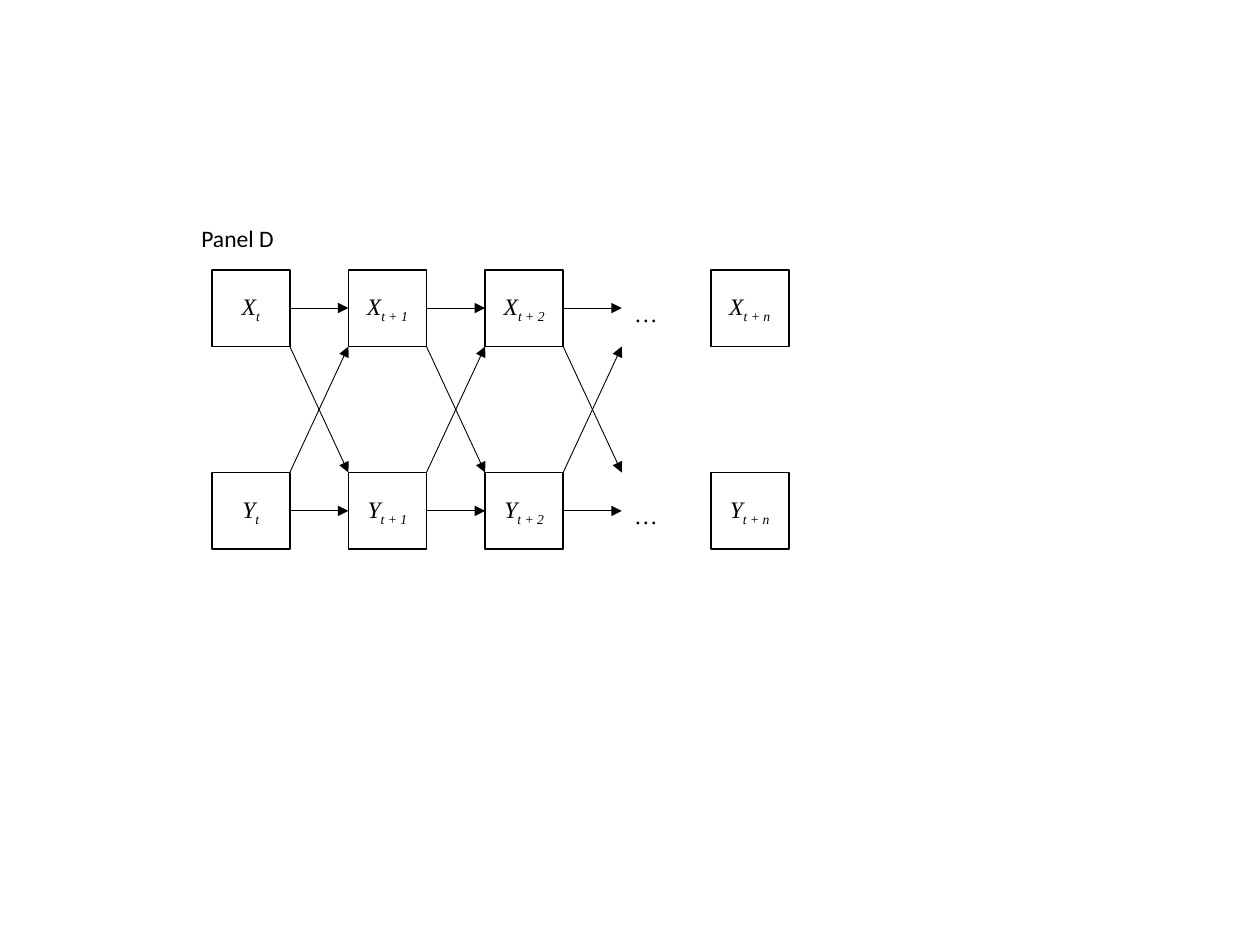
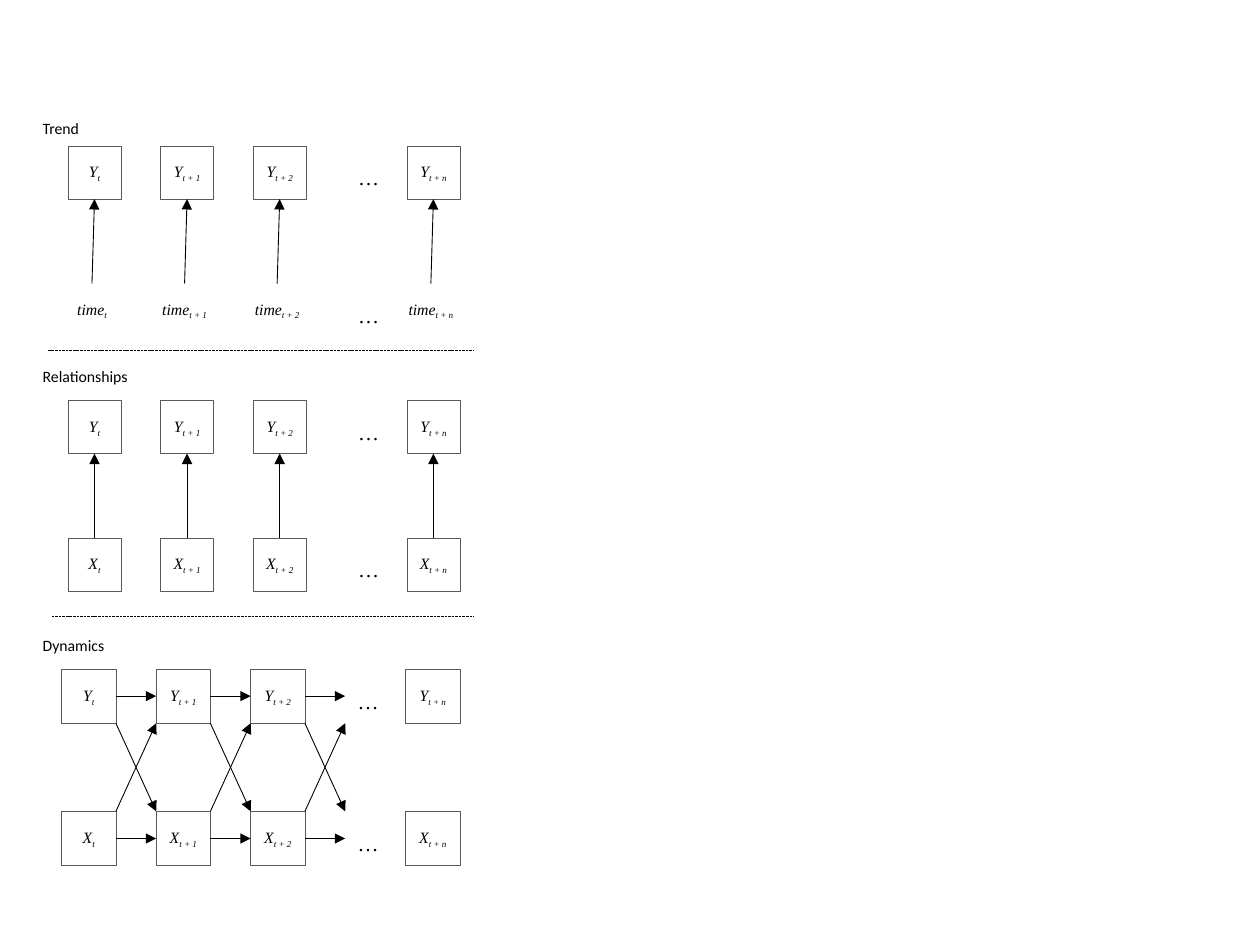
import pptx
import pptx.dml.color
import pptx.enum.dml
import pptx.enum.shapes
import pptx.enum.text
import pptx.oxml
import pptx.oxml.ns
import pptx.util
from lxml import etree

Inches = pptx.util.Inches
Pt = pptx.util.Pt

BLACK = pptx.dml.color.RGBColor(0x00, 0x00, 0x00)
GRAY = pptx.dml.color.RGBColor(0x59, 0x59, 0x59)
WHITE = pptx.dml.color.RGBColor(0xFF, 0xFF, 0xFF)

LABEL_FONT = "Calibri"
MATH_FONT = "Times New Roman"
SUBSCRIPTS = ("t", "t + 1", "t + 2", "t + n")
TOP, LEFT, BOTTOM, RIGHT = range(4)

LARGE = {"text": 13.5, "dots": 13.5, "dots_width": 0.39, "dots_height": 0.33,
         "label_height": 0.33, "outline": BLACK, "outline_width": 1}
SMALL = {"text": 9, "dots": 12, "dots_width": 0.37, "dots_height": 0.3,
         "label_height": 0.25, "outline": GRAY, "outline_width": 0.25}


def apply_format(target, values):
    for attribute, value in values.items():
        setattr(target, attribute, value)


class Columns:
    """Three evenly spaced box columns, a place for the dots, and a last column."""

    def __init__(self, first, step, last, width, height):
        self.lefts = [round(first + step * i, 3) for i in range(3)] + [last]
        self.dots_left = first + step * 3
        self.width = width
        self.height = height


class ModelSlide:
    def __init__(self, presentation, style):
        self.style = style
        self.shapes = presentation.slides.add_slide(presentation.slide_layouts[6]).shapes

    def add_run(self, paragraph, text, size, font=MATH_FONT, italic=False):
        run = paragraph.add_run()
        run.text = text
        apply_format(run.font, {"name": font, "size": Pt(size), "italic": italic})
        run.font.color.rgb = BLACK
        return run

    def label(self, text, left, top, width, height, size, font):
        frame = self.shapes.add_textbox(
            Inches(left), Inches(top), Inches(width), Inches(height)).text_frame
        apply_format(frame, {
            "word_wrap": False,
            "auto_size": pptx.enum.text.MSO_AUTO_SIZE.SHAPE_TO_FIT_TEXT})
        self.add_run(frame.paragraphs[0], text, size, font)

    def heading(self, text, left, top, width):
        self.label(text, left, top, width, self.style["label_height"],
                   self.style["text"], LABEL_FONT)

    def dots(self, left, top):
        self.label("…", left, top, self.style["dots_width"], self.style["dots_height"],
                   self.style["dots"], MATH_FONT)

    def variable(self, symbol, subscript, left, top, width, height, outline):
        box = self.shapes.add_shape(pptx.enum.shapes.MSO_SHAPE.RECTANGLE, Inches(left),
                                    Inches(top), Inches(width), Inches(height))
        box.shadow.inherit = False
        box.fill.solid()
        box.fill.fore_color.rgb = WHITE
        box.line.color.rgb = outline
        box.line.width = Pt(self.style["outline_width"])
        apply_format(box.text_frame, {
            "word_wrap": True,
            "vertical_anchor": pptx.enum.text.MSO_ANCHOR.MIDDLE,
            "margin_left": Inches(0.07), "margin_right": Inches(0.07),
            "margin_top": Inches(0.04), "margin_bottom": Inches(0.04)})
        paragraph = box.text_frame.paragraphs[0]
        paragraph.alignment = pptx.enum.text.PP_ALIGN.CENTER
        self.add_run(paragraph, symbol, self.style["text"], italic=True)
        index = self.add_run(paragraph, subscript, self.style["text"], italic=True)
        index.font._element.set("baseline", "-25000")
        return box

    def row(self, symbol, columns, top, widths=None, outline=None, shift=0):
        """Draw one variable over time; widths and shift recentre boxes on their columns."""
        widths = widths or [columns.width] * len(SUBSCRIPTS)
        boxes = [
            self.variable(symbol, subscript, left + (columns.width - width) / 2 + shift,
                          top, width, columns.height, outline or self.style["outline"])
            for subscript, left, width in zip(SUBSCRIPTS, columns.lefts, widths)]
        self.dots(columns.dots_left, top + (columns.height - self.style["dots_height"]) / 2 + 0.04)
        return boxes

    def line(self, start, end):
        connector = self.shapes.add_connector(
            pptx.enum.shapes.MSO_CONNECTOR.STRAIGHT, *start, *end)
        connector.line.color.rgb = BLACK
        connector.line.width = Pt(0.5)
        etree.SubElement(connector._element.spPr, pptx.oxml.ns.qn("a:effectLst"))
        return connector

    def arrow(self, start, end):
        connector = self.line(start, end)
        tail = etree.SubElement(connector.line._get_or_add_ln(), pptx.oxml.ns.qn("a:tailEnd"))
        tail.set("type", "triangle")
        return connector

    def divider(self, left, right, y):
        rule = self.line((Inches(left), Inches(y)), (Inches(right), Inches(y)))
        rule.line.dash_style = pptx.enum.dml.MSO_LINE.SQUARE_DOT

    def upward_panel(self, upper, lower):
        for outcome, cause in zip(upper, lower):
            arrow = self.arrow((cause.left, cause.top), (outcome.left, outcome.top))
            arrow.begin_connect(cause, TOP)
            arrow.end_connect(outcome, BOTTOM)

    def cross_lagged_panel(self, symbols, columns, tops):
        """Two rows, each box pointing to the next in its own row and in the other."""
        upper, lower = [self.row(symbol, columns, top) for symbol, top in zip(symbols, tops)]
        next_lefts = [Inches(left) for left in columns.lefts[1:3] + [columns.dots_left]]
        for i, next_left in enumerate(next_lefts):
            for boxes in (upper, lower):
                box = boxes[i]
                middle = box.top + box.height // 2
                arrow = self.arrow((box.left + box.width, middle), (next_left, middle))
                arrow.begin_connect(box, RIGHT)
                if i < 2:
                    arrow.end_connect(boxes[i + 1], LEFT)
            right = upper[i].left + upper[i].width
            upper_edge = upper[i].top + upper[i].height
            lower_edge = lower[i].top
            self.arrow((right, upper_edge), (next_left, lower_edge))
            self.arrow((right, lower_edge), (next_left, upper_edge))


def build_panel_d(presentation):
    slide = ModelSlide(presentation, LARGE)
    slide.heading("Panel D", 1.5, 1.73, 0.78)
    slide.cross_lagged_panel("XY", Columns(1.68, 1.085, 5.64, 0.62, 0.61), (2.14, 3.75))


def build_model_overview(presentation):
    slide = ModelSlide(presentation, SMALL)
    columns = Columns(0.54, 0.735, 3.23, 0.42, 0.42)

    slide.heading("Trend", 0.24, 0.89, 0.5)
    outcomes = slide.row("Y", columns, 1.16)
    times = slide.row("time", columns, 2.25, (0.42, 0.53, 0.67, 0.73), WHITE, -0.02)
    slide.upward_panel(outcomes, times)
    slide.divider(0.38, 3.76, 2.78)

    slide.heading("Relationships", 0.24, 2.86, 0.89)
    outcomes = slide.row("Y", columns, 3.18)
    slide.upward_panel(outcomes, slide.row("X", columns, 4.27))
    slide.divider(0.41, 3.76, 4.89)

    slide.heading("Dynamics", 0.24, 5, 0.7)
    slide.cross_lagged_panel("YX", Columns(0.49, 0.75, 3.22, 0.43, 0.43), (5.31, 6.44))


def main():
    presentation = pptx.Presentation()
    presentation.slide_width = Inches(10)
    presentation.slide_height = Inches(7.5)
    build_panel_d(presentation)
    build_model_overview(presentation)
    presentation.save("out.pptx")


if __name__ == "__main__":
    main()
